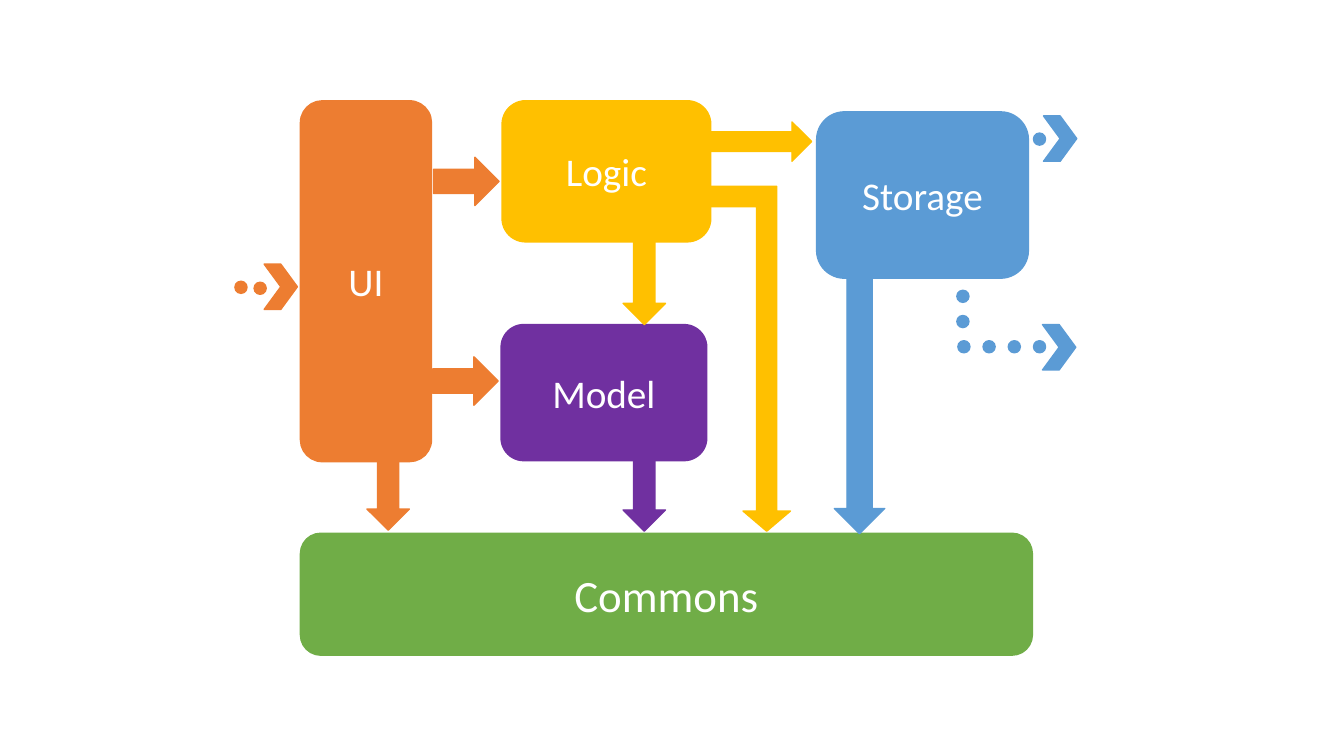
from pptx import Presentation
from pptx.dml.color import RGBColor
from pptx.enum.shapes import MSO_SHAPE as Preset
from pptx.enum.text import MSO_ANCHOR as Anchor, PP_ALIGN as Align
from pptx.util import Emu, Pt

EMU_PER_PX = 9144  # 100 px to the inch
SLIDE_SIZE = (1333, 750)
DOT = 12
CHEVRON = (33, 45)

ORANGE = RGBColor(0xED, 0x7D, 0x31)
YELLOW = RGBColor(0xFF, 0xC0, 0x00)
BLUE = RGBColor(0x5B, 0x9B, 0xD5)
PURPLE = RGBColor(0x70, 0x30, 0xA0)
GREEN = RGBColor(0x70, 0xAD, 0x47)
WHITE = RGBColor(0xFF, 0xFF, 0xFF)


def px(length):
    return Emu(length * EMU_PER_PX)


def add_solid(slide, preset, color, left, top, width, height):
    solid = slide.shapes.add_shape(preset, px(left), px(top), px(width), px(height))
    solid.shadow.inherit = False
    solid.fill.solid()
    solid.fill.fore_color.rgb = color
    solid.line.color.rgb = color
    solid.line.width = Pt(1)
    return solid


def write_text(holder, text, *, size=28, color=WHITE, font="Calibri", align=Align.CENTER):
    frame = holder.text_frame
    frame.word_wrap = True
    frame.vertical_anchor = Anchor.MIDDLE
    paragraph = frame.paragraphs[0]
    paragraph.alignment = align
    run = paragraph.add_run()
    run.text = text
    run.font.name = font
    run.font.size = Pt(size)
    run.font.color.rgb = color


def add_component(slide, name, color, *box, size=28):
    component = add_solid(slide, Preset.ROUNDED_RECTANGLE, color, *box)
    write_text(component, name, size=size)


def add_arrow(slide, color, *box):
    add_solid(slide, Preset.RIGHT_ARROW, color, *box)


def add_down_arrow(slide, color, center_x, center_y, length, thickness):
    arrow = add_solid(slide, Preset.RIGHT_ARROW, color, center_x - length // 2,
                      center_y - thickness // 2, length, thickness)
    arrow.rotation = 90


def add_bent_down_arrow(slide, color, *box):
    bent = add_solid(slide, Preset.BENT_UP_ARROW, color, *box)
    bent.adjustments[1] = 0.294
    bent._element.spPr.xfrm.set("flipV", "1")


def add_dotted_flow(slide, color, chevron_at, dots):
    add_solid(slide, Preset.CHEVRON, color, *chevron_at, *CHEVRON)
    for left, top in dots:
        add_solid(slide, Preset.OVAL, color, left, top, DOT, DOT)


def main():
    deck = Presentation()
    deck.slide_width, deck.slide_height = map(px, SLIDE_SIZE)
    slide = deck.slides.add_slide(deck.slide_layouts[6])

    # Components
    add_component(slide, "UI", ORANGE, 298, 100, 130, 358)
    add_component(slide, "Logic", YELLOW, 498, 100, 207, 140)
    add_component(slide, "Storage", BLUE, 810, 111, 210, 165)
    add_component(slide, "Model", PURPLE, 497, 322, 204, 135)
    add_component(slide, "Commons", GREEN, 298, 529, 726, 121, size=32)

    # Dependencies between neighbours
    add_arrow(slide, ORANGE, 430, 156, 65, 48)
    add_arrow(slide, ORANGE, 429, 354, 65, 48)
    add_arrow(slide, YELLOW, 704, 121, 101, 39)
    add_down_arrow(slide, YELLOW, 639, 280, 84, 42)

    # Dependencies on Commons
    add_down_arrow(slide, ORANGE, 385, 484, 84, 42)
    add_down_arrow(slide, PURPLE, 639, 485, 84, 42)
    add_bent_down_arrow(slide, YELLOW, 704, 185, 80, 342)
    add_down_arrow(slide, BLUE, 852, 403, 253, 50)

    # Input to UI
    add_dotted_flow(slide, ORANGE, (262, 262), [(233, 279), (252, 280)])

    # Outputs from Storage: straight, and turning a corner
    add_dotted_flow(slide, BLUE, (1035, 115), [(1025, 132)])
    corner_dots = [(949, 288 + 25 * row) for row in range(2)]
    corner_dots += [(950 + 25 * column, 338) for column in range(4)]
    add_dotted_flow(slide, BLUE, (1034, 322), corner_dots)

    deck.save("out.pptx")


if __name__ == "__main__":
    main()
